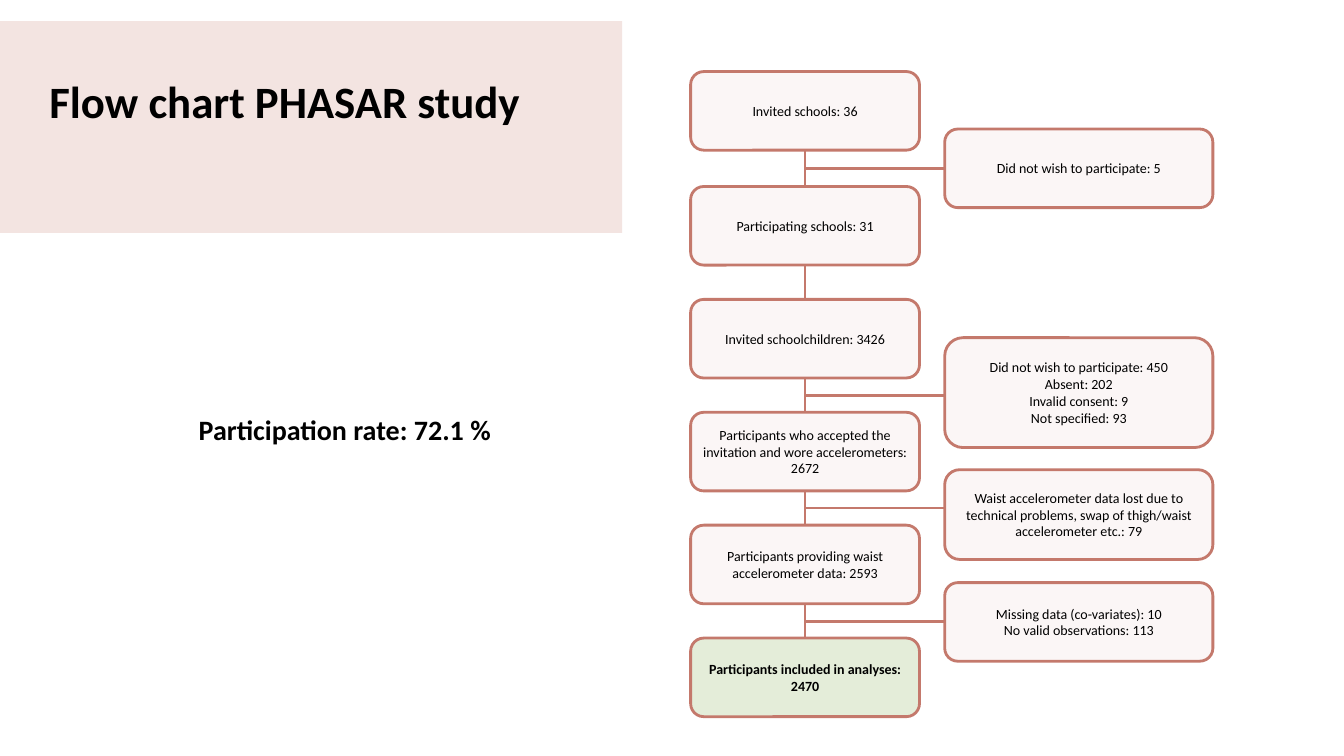
from dataclasses import dataclass

from lxml import etree
from pptx import Presentation
from pptx import util as u
from pptx.dml.color import RGBColor
from pptx.enum import shapes, text
from pptx.oxml import ns

TITLE = "Flow chart PHASAR study"
RATE = "Participation rate: 72.1 %"
STEPS = [
    "Invited schools: 36",
    "Participating schools: 31",
    "Invited schoolchildren: 3426",
    "Participants who accepted the invitation and wore accelerometers: 2672",
    "Participants providing waist accelerometer data: 2593",
    "Participants included in analyses: 2470",
]
EXITS = [
    (0, 1.28, 0.78, "Did not wish to participate: 5"),
    (2, 3.35, 1.09, "Did not wish to participate: 450\nAbsent: 202\n"
                    "Invalid consent: 9\nNot specified: 93"),
    (3, 4.66, 0.89, "Waist accelerometer data lost due to technical problems, "
                    "swap of thigh/waist accelerometer etc.: 79"),
    (4, 5.78, 0.78, "Missing data (co-variates): 10\nNo valid observations: 113"),
]


@dataclass(frozen=True)
class Theme:
    font: str = "Calibri"
    ink: str = "000000"
    band: str = "F3E4E1"
    box: str = "F9F1F0"
    result: str = "E4EDD9"
    line: str = "C4796C"
    title_size: int = 32
    rate_size: int = 20
    box_size: int = 10
    line_width: int = 2
    box_opacity: int = 60


THEME = Theme()
STEP_LEFT, STEP_WIDTH, STEP_HEIGHT = 6.85, 2.27, 0.78
EXIT_LEFT, EXIT_WIDTH = 9.37, 2.66
FIRST_TOP, SECOND_TOP, PITCH = 0.71, 1.85, 1.12
INSET = 0.08
SNAP = 0.02


def inches(*lengths):
    return [u.Inches(length) for length in lengths]


def write(shape, wording, size, bold=False, align=text.PP_ALIGN.LEFT,
          anchor=text.MSO_ANCHOR.TOP, inset=0, wrap=True):
    frame = shape.text_frame
    frame.text = wording
    frame.word_wrap = wrap
    frame.vertical_anchor = anchor
    frame.margin_left = frame.margin_right = u.Inches(inset)
    frame.margin_top = frame.margin_bottom = u.Inches(inset)
    for para in frame.paragraphs:
        para.alignment = align
        for span in para.runs:
            span.font.name = THEME.font
            span.font.size = u.Pt(size)
            span.font.bold = bold
            span.font.color.rgb = RGBColor.from_string(THEME.ink)


def add_filled(page, kind, place, fill):
    shape = page.shapes.add_shape(kind, *inches(*place))
    shape.shadow.inherit = False
    shape.fill.solid()
    shape.fill.fore_color.rgb = RGBColor.from_string(fill)
    shape.line.fill.background()
    return shape


def style_line(line):
    line.color.rgb = RGBColor.from_string(THEME.line)
    line.width = u.Pt(THEME.line_width)


def add_box(page, place, wording, result=False):
    fill = THEME.result if result else THEME.box
    box = add_filled(page, shapes.MSO_SHAPE.ROUNDED_RECTANGLE, place, fill)
    style_line(box.line)
    if not result:
        color = box.element.spPr.find(ns.qn("a:solidFill"))[0]
        alpha = etree.SubElement(color, ns.qn("a:alpha"))
        alpha.set("val", str(THEME.box_opacity * 1000))
    write(box, wording, THEME.box_size, result, text.PP_ALIGN.CENTER,
          text.MSO_ANCHOR.MIDDLE, INSET)
    return box


def add_line(page, start, end):
    link = page.shapes.add_connector(
        shapes.MSO_CONNECTOR.STRAIGHT, *inches(*start, *end))
    style_line(link.line)
    etree.SubElement(link.element.spPr, ns.qn("a:effectLst"))
    return link


def add_heading(page):
    title = page.shapes.title
    title.left, title.top, title.width, title.height = inches(0.49, 0.73, 10.36, 0.54)
    write(title, TITLE, THEME.title_size, bold=True)
    title.text_frame.auto_size = text.MSO_AUTO_SIZE.SHAPE_TO_FIT_TEXT
    band = add_filled(page, shapes.MSO_SHAPE.RECTANGLE, (0, 0.21, 6.17, 2.1), THEME.band)
    title.element.addprevious(band.element)


def add_flow(page):
    tops = [FIRST_TOP] + [SECOND_TOP + PITCH * row for row in range(len(STEPS) - 1)]
    axis = STEP_LEFT + STEP_WIDTH / 2
    steps = [
        add_box(page, (STEP_LEFT, top, STEP_WIDTH, STEP_HEIGHT), wording,
                result=wording == STEPS[-1])
        for top, wording in zip(tops, STEPS)
    ]
    exits = [
        add_box(page, (EXIT_LEFT, top, EXIT_WIDTH, height), wording)
        for _, top, height, wording in EXITS
    ]
    for row in range(len(steps) - 1):
        link = add_line(page, (axis, tops[row] + STEP_HEIGHT), (axis, tops[row + 1]))
        link.begin_connect(steps[row], 2)
        link.end_connect(steps[row + 1], 0)
    for box, (row, top, height, _) in zip(exits, EXITS):
        level = (tops[row] + STEP_HEIGHT + tops[row + 1]) / 2
        middle = top + height / 2
        centred = abs(middle - level) < SNAP
        level = middle if centred else level
        link = add_line(page, (EXIT_LEFT, level), (axis, level))
        if centred:
            link.begin_connect(box, 1)


def add_rate(page):
    rate = page.shapes.add_textbox(*inches(1.97, 4.09, 2.92, 0.34))
    write(rate, RATE, THEME.rate_size, bold=True, wrap=False)
    rate.text_frame.auto_size = text.MSO_AUTO_SIZE.SHAPE_TO_FIT_TEXT


def main():
    deck = Presentation()
    deck.slide_width, deck.slide_height = inches(13.33, 7.5)
    page = deck.slides.add_slide(deck.slide_layouts.get_by_name("Title Only"))
    add_heading(page)
    add_flow(page)
    add_rate(page)
    deck.save("out.pptx")


if __name__ == "__main__":
    main()
